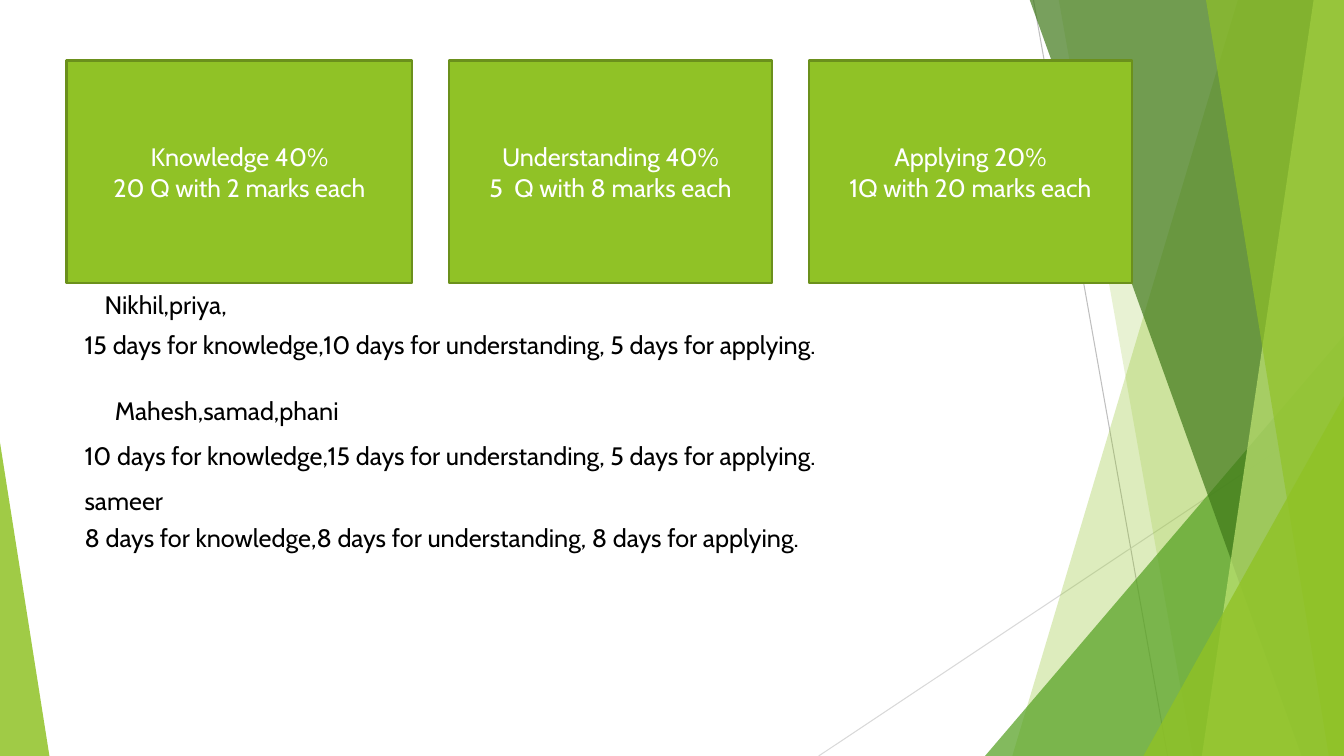
from pptx import Presentation
from pptx import util as u
from pptx.dml.color import RGBColor
from pptx.enum import shapes, text
from pptx.oxml.ns import qn
from lxml import etree

W, H = 13.33, 7.5
FONT = "Cabin"
GREEN, EDGE = "90C226", "6B901C"
CARD_TOP, CARD_HEIGHT = 0.6, 2.21

CARDS = [
    (0.66, 3.43, "Knowledge 40%\n20 Q with 2 marks each"),
    (4.45, 3.21, "Understanding 40%\n5  Q with 8 marks each"),
    (8.02, 3.21, "Applying 20%\n1Q with 20 marks each"),
]
NOTES = [
    (0.94, 2.82, 2.16, "Nikhil,priya,"),
    (0.74, 3.22, 8.21, "15 days for knowledge,10 days for understanding, 5 days for applying."),
    (1.04, 3.87, 2.89, "Mahesh,samad,phani"),
    (0.74, 4.32, 8.21, "10 days for knowledge,15 days for understanding, 5 days for applying."),
    (0.74, 4.77, 1.77, "sameer"),
    (0.74, 5.13, 8.21, "8 days for knowledge,8 days for understanding, 8 days for applying."),
]


def color(fmt, value):
    """Apply a hex colour to a colour format."""
    fmt.rgb = RGBColor.from_string(value)


def paint(sp, fill, opacity=100):
    """Give a shape a flat fill without outline or shadow."""
    sp.shadow.inherit = False
    sp.fill.solid()
    color(sp.fill.fore_color, fill)
    sp.line.fill.background()
    if opacity < 100:
        clr = sp.fill._xPr.find(qn("a:solidFill"))[0]
        etree.SubElement(clr, qn("a:alpha")).set("val", str(opacity * 1000))


def write(tf, content, ink, align):
    """Fill a text frame with paragraphs in the slide font."""
    tf.word_wrap = True
    tf.text = content
    for p in tf.paragraphs:
        p.alignment = align
        for r in p.runs:
            r.font.name = FONT
            r.font.size = u.Pt(18)
            color(r.font.color, ink)


def add_line(s, x1, y1, x2, y2, stroke):
    """Draw a thin background line."""
    points = [u.Inches(v) for v in (x1, y1, x2, y2)]
    sp = s.shapes.add_connector(shapes.MSO_CONNECTOR.STRAIGHT, *points)
    sp.line.width = u.Pt(0.75)
    color(sp.line.color, stroke)
    etree.SubElement(sp._element.spPr, qn("a:effectLst"))


def add_facet(s, top_x, bottom_x, fill, opacity):
    """Draw a full-height facet that reaches the right edge."""
    corners = [(top_x, -0.01), (W, -0.01), (W, H), (bottom_x, H)]
    points = [(u.Inches(x), u.Inches(y)) for x, y in corners]
    fb = s.shapes.build_freeform(*points[0])
    fb.add_line_segments(points[1:], close=True)
    paint(fb.convert_to_shape(), fill, opacity)


def add_triangle(s, x, y, width, apex, fill, opacity):
    """Draw a triangle that stands on the bottom edge."""
    sp = s.shapes.add_shape(shapes.MSO_SHAPE.ISOSCELES_TRIANGLE, u.Inches(x),
                            u.Inches(y), u.Inches(width), u.Inches(H - y))
    sp.adjustments[0] = apex
    paint(sp, fill, opacity)


def add_background(s):
    """Build the faceted green backdrop from back to front."""
    add_line(s, 10.25, 0, 11.58, H, "BFBFBF")
    add_line(s, W, 4.03, 8.12, H, "D9D9D9")
    add_facet(s, 12.28, 10.04, GREEN, 30)
    add_facet(s, 10.5, 11.83, GREEN, 20)
    add_triangle(s, 9.77, 3.33, 3.56, 1, "54A021", 72)
    add_facet(s, 10.21, 12.91, "3F7819", 70)
    add_facet(s, 13.03, 11.92, "C0E474", 70)
    add_facet(s, 11.96, 13.18, GREEN, 65)
    add_triangle(s, 11.34, 3.93, 1.99, 1, GREEN, 80)
    add_triangle(s, 0, 4.39, 0.49, 0, GREEN, 85)


def add_card(s, x, width, content):
    """Add an outlined card with centred white text."""
    sp = s.shapes.add_shape(shapes.MSO_SHAPE.RECTANGLE, u.Inches(x), u.Inches(CARD_TOP),
                            u.Inches(width), u.Inches(CARD_HEIGHT))
    paint(sp, GREEN)
    color(sp.line.color, EDGE)
    sp.line.width = u.Pt(1.5)
    sp.text_frame.vertical_anchor = text.MSO_ANCHOR.MIDDLE
    write(sp.text_frame, content, "FFFFFF", text.PP_ALIGN.CENTER)


def add_note(s, x, y, width, content):
    """Add a single line of black text."""
    sp = s.shapes.add_textbox(u.Inches(x), u.Inches(y), u.Inches(width), u.Inches(0.4))
    sp.text_frame.auto_size = text.MSO_AUTO_SIZE.SHAPE_TO_FIT_TEXT
    write(sp.text_frame, content, "000000", text.PP_ALIGN.LEFT)


def main():
    """Build and save the slide."""
    prs = Presentation()
    prs.slide_width, prs.slide_height = u.Inches(W), u.Inches(H)
    s = prs.slides.add_slide(prs.slide_layouts[6])
    add_background(s)
    for card in CARDS:
        add_card(s, *card)
    for note in NOTES:
        add_note(s, *note)
    prs.save("out.pptx")


main()
